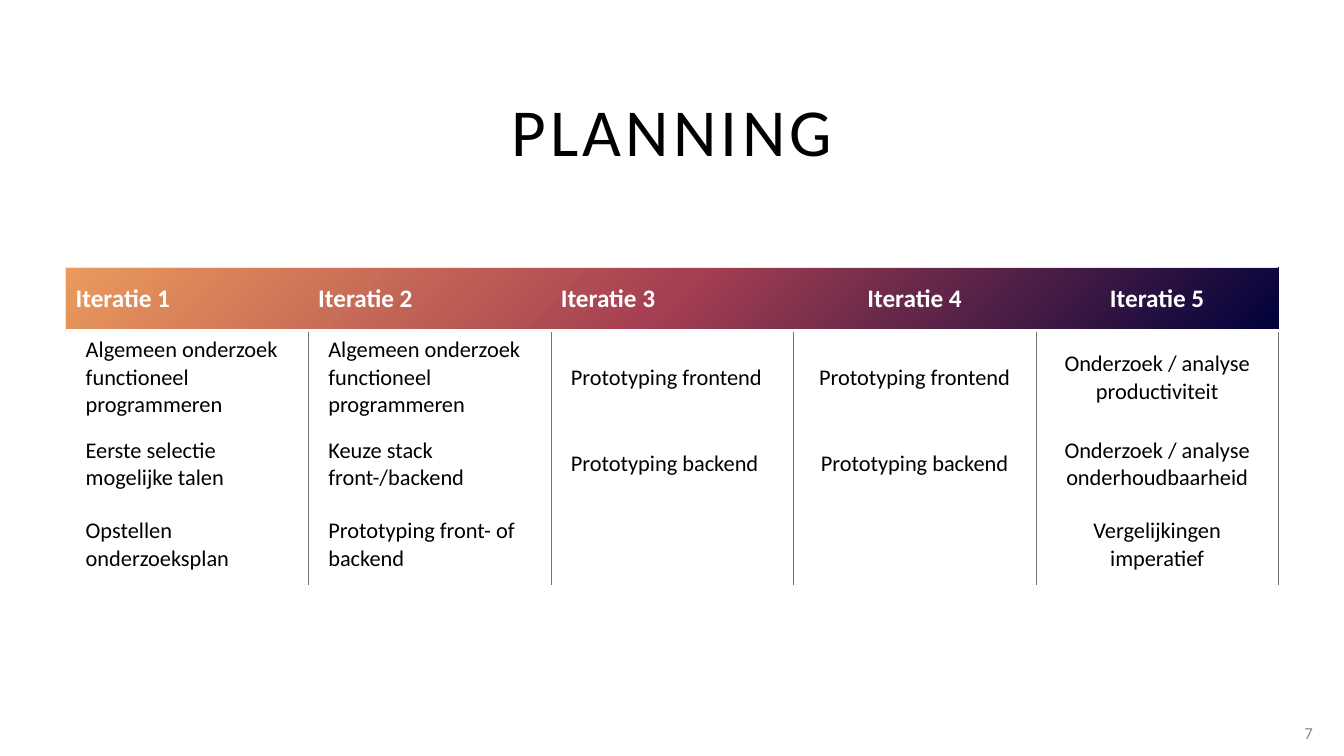
from pptx import Presentation
from pptx import util as u
from pptx import oxml
from pptx.dml import color
from pptx.enum import shapes, text
from pptx.oxml import ns

HUES = {"ink": "000000", "paper": "FFFFFF", "rule": "767171", "edge": "E7E6E6",
        "page": "8C8C8C", "navy": "01023B", "rose": "A53F52", "sand": "EA9A5C"}
LEFT, MID, RIGHT = text.PP_ALIGN.LEFT, text.PP_ALIGN.CENTER, text.PP_ALIGN.RIGHT

HEADS = [f"Iteratie {n}" for n in range(1, 6)]
TASKS = [
    ["Algemeen onderzoek functioneel programmeren",
     "Algemeen onderzoek functioneel programmeren",
     "Prototyping frontend", "Prototyping frontend",
     "Onderzoek / analyse productiviteit"],
    ["Eerste selectie mogelijke talen", "Keuze stack \nfront-/backend",
     "Prototyping backend", "Prototyping backend",
     "Onderzoek / analyse onderhoudbaarheid"],
    ["Opstellen onderzoeksplan", "Prototyping front- of backend", "", "",
     "Vergelijkingen imperatief"],
]


class Deck:
    font = "Calibri"

    def __init__(self):
        self.prs = Presentation()
        self.prs.slide_width = u.Inches(13.33)
        self.prs.slide_height = u.Inches(7.5)
        self.slide = self.prs.slides.add_slide(self.prs.slide_layouts[5])

    def wide(self, share):
        return int(self.prs.slide_width * share / 100)

    def high(self, share):
        return int(self.prs.slide_height * share / 100)

    def box(self, x, y, w, h):
        return self.wide(x), self.high(y), self.wide(w), self.high(h)

    def words(self, frame, copy, size, hue, align=LEFT, bold=False, space=0):
        frame.word_wrap = True
        par = frame.paragraphs[0]
        par.alignment = align
        for i, line in enumerate(copy.split("\n")):
            if i:
                par.add_line_break()
            run = par.add_run()
            run.text = line
            run.font.name = self.font
            run.font.size = u.Pt(size)
            run.font.bold = bold
            run.font.color.rgb = color.RGBColor.from_string(HUES[hue])
            if space:
                run.font._element.set("spc", str(space * 100))

    def title(self, copy, *area):
        hold = self.slide.shapes.title
        hold.left, hold.top, hold.width, hold.height = self.box(*area)
        frame = hold.text_frame
        frame.auto_size = text.MSO_AUTO_SIZE.NONE
        frame.vertical_anchor = text.MSO_ANCHOR.MIDDLE
        self.words(frame, copy, 48, "ink", MID, space=3)

    def label(self, copy, *area):
        frame = self.slide.shapes.add_textbox(*self.box(*area)).text_frame
        frame.vertical_anchor = text.MSO_ANCHOR.MIDDLE
        self.words(frame, copy, 12, "page", RIGHT)

    def band(self, hues, *area):
        bar = self.slide.shapes.add_shape(shapes.MSO_SHAPE.RECTANGLE, *self.box(*area))
        bar.shadow.inherit = False
        bar.line.fill.background()
        bar.fill.background()
        step = 100000 // (len(hues) - 1)
        stops = "".join(f'<a:gs pos="{i * step}"><a:srgbClr val="{HUES[hue]}"/></a:gs>'
                        for i, hue in enumerate(hues))
        props = bar._element.spPr
        props.replace(props.find(ns.qn("a:noFill")), oxml.parse_xml(
            f'<a:gradFill {ns.nsdecls("a")} rotWithShape="1"><a:gsLst>{stops}</a:gsLst>'
            '<a:path path="circle"><a:fillToRect l="100000" t="100000"/></a:path>'
            '<a:tileRect r="-100000" b="-100000"/></a:gradFill>'))

    def edges(self, cell, lines):
        props = cell._tc.get_or_add_tcPr()
        for i, side in enumerate("LRTB"):
            hue, width = lines.get(side, (None, 0))
            fill = (f'<a:solidFill><a:srgbClr val="{HUES[hue]}"/></a:solidFill>'
                    if hue else "<a:noFill/>")
            props.insert(i, oxml.parse_xml(
                f'<a:ln{side} {ns.nsdecls("a")} w="{u.Pt(width)}">{fill}</a:ln{side}>'))

    def table(self, rows, tall, x, y, w):
        area = self.box(x, y, w, sum(tall))
        grid = self.slide.shapes.add_table(len(rows), len(rows[0]), *area).table
        for col in grid.columns:
            col.width = area[2] // len(rows[0])
        for r, row in enumerate(rows):
            grid.rows[r].height = self.high(tall[r])
            for c, copy in enumerate(row):
                cell = grid.cell(r, c)
                cell.fill.background()
                cell.vertical_anchor = text.MSO_ANCHOR.MIDDLE
                align = LEFT if c < 3 else MID
                if r:
                    lines = {"R": ("rule", 0.25)}
                    if align == LEFT:
                        cell.margin_left = u.Inches(0.2)
                else:
                    lines = {"T": ("edge", 0.5)}
                    if not c:
                        lines["L"] = ("edge", 0.5)
                self.edges(cell, lines)
                if copy:
                    self.words(cell.text_frame, copy, 16 if r else 18,
                               "ink" if r else "paper", align, not r)


def main():
    deck = Deck()
    x, y, w = 4.88, 35.33, 90.25
    deck.title("PLANNING", x, 11.2, w, 12)
    deck.band(["navy", "rose", "sand"], x, y, w, 8.2)
    deck.table([HEADS] + TASKS, [8.53] + [10.67] * 3, x, y, w)
    deck.label("7", 94.75, 94.27, 3.68, 5.33)
    deck.prs.save("out.pptx")


if __name__ == "__main__":
    main()
